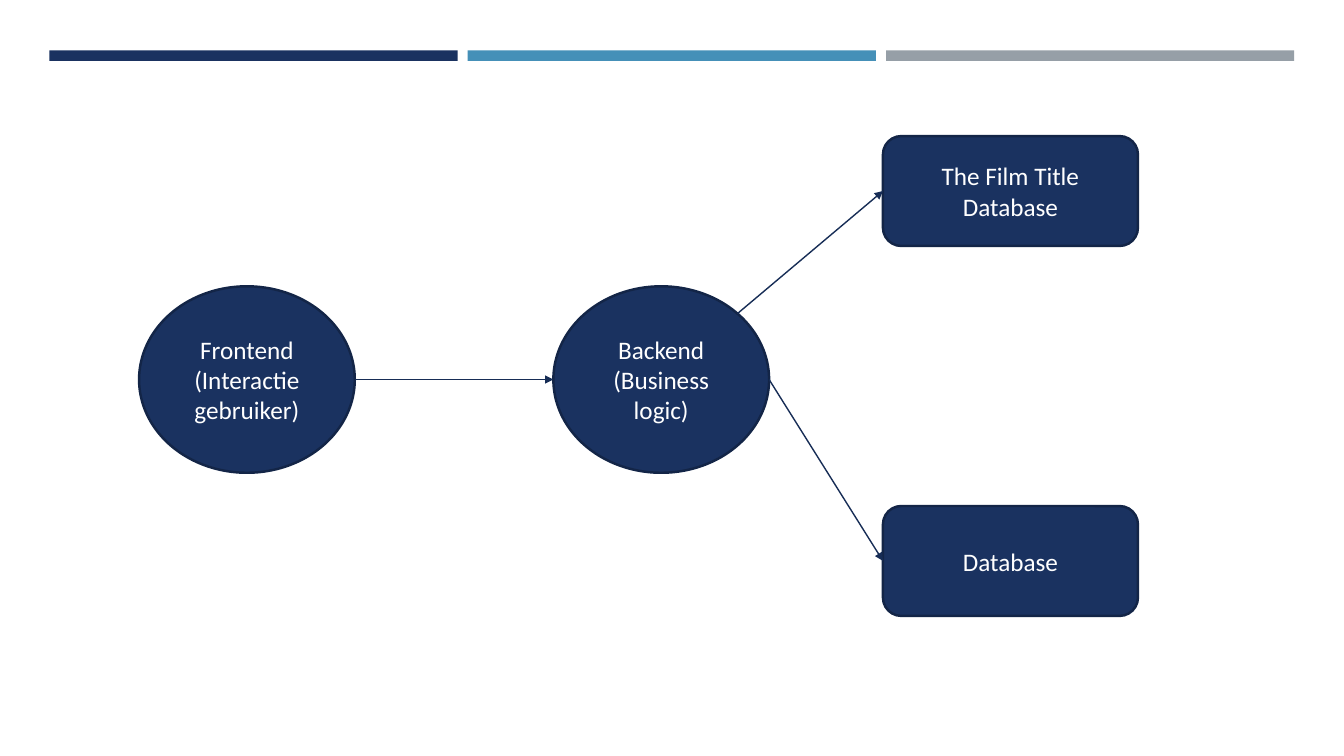
import math

import pptx
import pptx.dml.color
import pptx.enum.shapes
import pptx.enum.text
import pptx.oxml
import pptx.oxml.ns
import pptx.util

Pt = pptx.util.Pt
SHAPES = pptx.enum.shapes.MSO_SHAPE

COLOURS = {
    "navy": "1A3260",
    "blue": "4590B8",
    "grey": "969FA7",
    "outline": "132547",
    "arrow": "172D56",
    "text": "FFFFFF",
}
FONT = "Calibri"


def colour(name):
    return pptx.dml.color.RGBColor.from_string(COLOURS[name])


def add_filled(page, kind, box, fill):
    shape = page.shapes.add_shape(kind, *(Pt(length) for length in box))
    shape.shadow.inherit = False
    shape.fill.solid()
    shape.fill.fore_color.rgb = colour(fill)
    return shape


def add_header_bars(page, box):
    left, top, width, height = box
    gap = 7.2
    bar_width = (width - 2 * gap) / 3
    for index, fill in enumerate(("navy", "blue", "grey")):
        bar_left = left + index * (bar_width + gap)
        bar = add_filled(page, SHAPES.RECTANGLE, (bar_left, top, bar_width, height), fill)
        bar.line.fill.background()


def add_node(page, kind, box, lines):
    node = add_filled(page, kind, box, "navy")
    node.line.color.rgb = colour("outline")
    node.line.width = Pt(1.75)
    frame = node.text_frame
    frame.word_wrap = True
    frame.vertical_anchor = pptx.enum.text.MSO_ANCHOR.MIDDLE
    frame.text = "\n".join(lines)
    for para in frame.paragraphs:
        para.alignment = pptx.enum.text.PP_ALIGN.CENTER
        para.font.name = FONT
        para.font.size = Pt(18)
        para.font.color.rgb = colour("text")
    return node


def rim_point(circle, degrees):
    angle = math.radians(degrees)
    x = circle.left + circle.width / 2 * (1 + math.cos(angle))
    y = circle.top + circle.height / 2 * (1 - math.sin(angle))
    return round(x), round(y)


def add_arrow(page, start, end):
    arrow = page.shapes.add_connector(pptx.enum.shapes.MSO_CONNECTOR.STRAIGHT, *start, *end)
    arrow.line.color.rgb = colour("arrow")
    arrow.line.width = Pt(1)
    line = arrow.line._get_or_add_ln()
    pptx.oxml.ns.qn("a:tailEnd")
    tail = line.makeelement(pptx.oxml.ns.qn("a:tailEnd"), {"type": "triangle"})
    line.append(tail)
    properties = arrow._element.spPr
    properties.append(properties.makeelement(pptx.oxml.ns.qn("a:effectLst"), {}))
    return arrow


def add_architecture(page, box):
    left, top, width, height = box
    circle_width, circle_height = 154.08, 133.2
    store_width, store_height = 182.16, 78.48
    circle_top = top + 107.28
    store_left = left + width - store_width

    frontend = add_node(
        page, SHAPES.OVAL, (left, circle_top, circle_width, circle_height),
        ["Frontend", "(Interactie gebruiker)"])
    backend = add_node(
        page, SHAPES.OVAL, (left + 295.92, circle_top, circle_width, circle_height),
        ["Backend", "(Business logic)"])
    add_arrow(page, rim_point(frontend, 0), rim_point(backend, 180))

    stores = (
        ("The Film Title Database", top, 45),
        ("Database", top + height - store_height, 0),
    )
    for label, store_top, degrees in stores:
        store = add_node(
            page, SHAPES.ROUNDED_RECTANGLE,
            (store_left, store_top, store_width, store_height), [label])
        start = rim_point(backend, degrees)
        arrow = add_arrow(page, start, (store.left, store.top + store.height // 2))
        arrow.end_connect(store, 1)


def main():
    deck = pptx.Presentation()
    deck.slide_width = Pt(960)
    deck.slide_height = Pt(540)
    page = deck.slides.add_slide(deck.slide_layouts[6])
    add_header_bars(page, (35.28, 36, 889.2, 7.5))
    add_architecture(page, (99.36, 97.2, 713.52, 342.72))
    deck.save("out.pptx")


if __name__ == "__main__":
    main()
